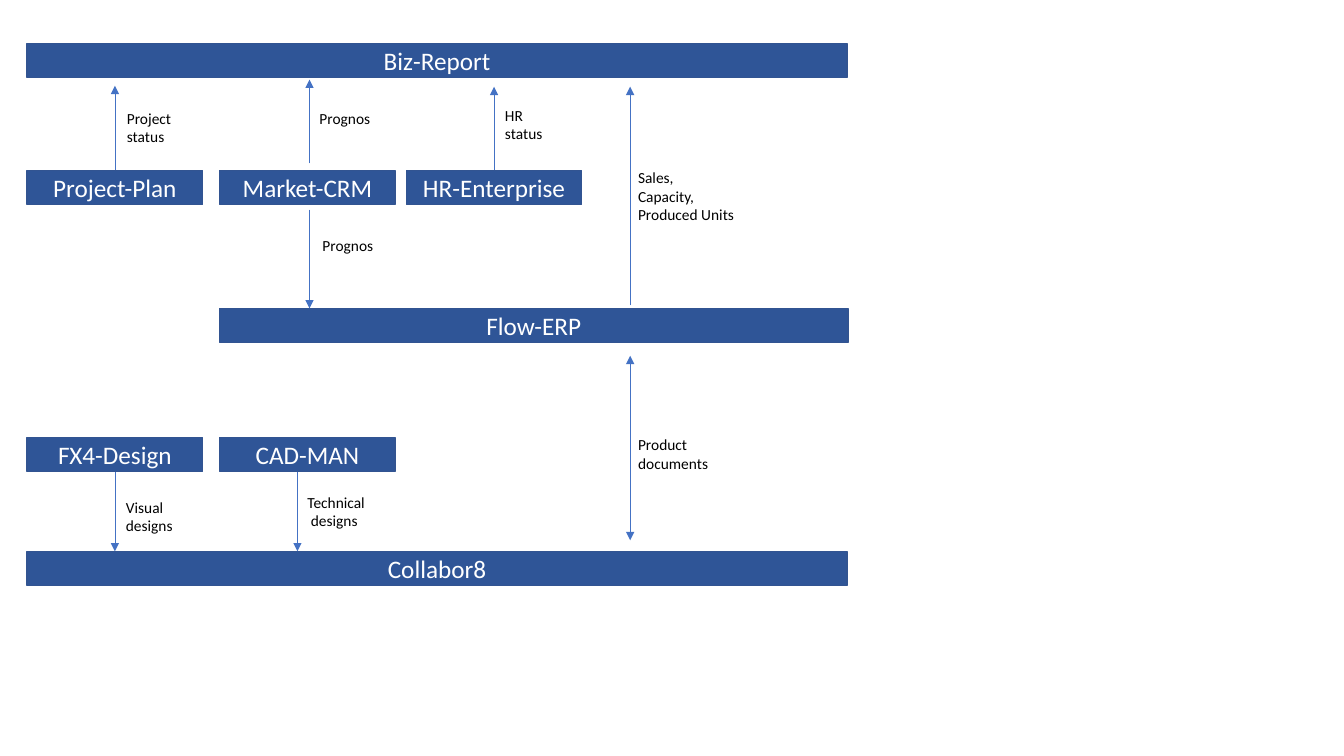
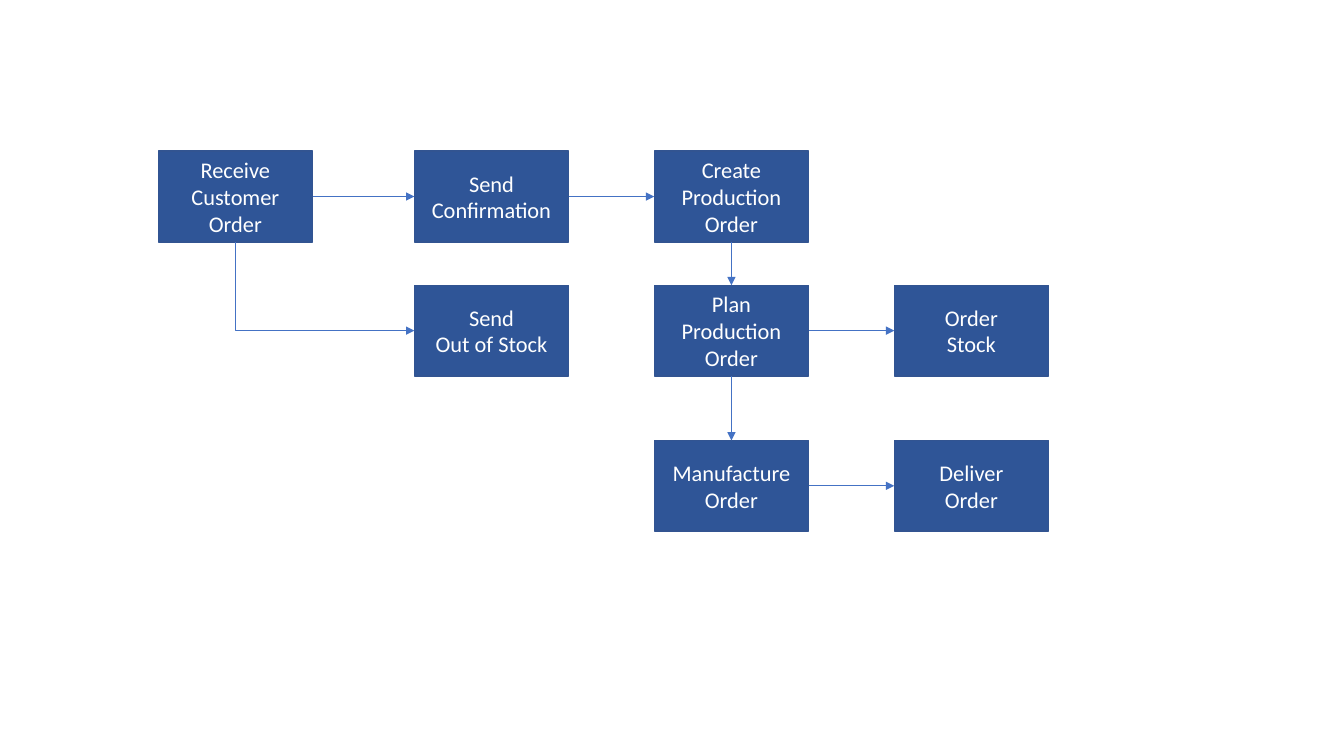
from pptx import Presentation
from pptx.dml.color import RGBColor
from pptx.enum import shapes, text
from pptx.oxml.ns import qn
from pptx.util import Inches, Pt
from lxml import etree

FONT = "Calibri"
COLORS = {"box": "2F5597", "edge": "325491", "arrow": "4472C4", "label": "000000", "box_text": "FFFFFF"}
TOP, LEFT, BOTTOM, RIGHT = range(4)

# Systems: name -> left, top, width
BAR_H, NARROW, WIDE = 0.34, 1.74, 8.13
COL_1, COL_2, COL_3 = 0.27, 2.18, 4.03
SYSTEMS = {
    "Biz-Report": (COL_1, 0.43, WIDE),
    "Project-Plan": (COL_1, 1.69, NARROW),
    "Market-CRM": (COL_2, 1.69, NARROW),
    "HR-Enterprise": (COL_3, 1.69, NARROW),
    "Flow-ERP": (COL_2, 3.06, 6.23),
    "FX4-Design": (COL_1, 4.34, NARROW),
    "CAD-MAN": (COL_2, 4.34, NARROW),
    "Collabor8": (COL_1, 5.47, WIDE),
}
# Flows: x, start y, end y, two-way, joined start (system, side) or None,
# label lines, label box
FLOWS = [
    (1.15, 1.69, 0.85, False, ("Project-Plan", TOP), ["Project", "status"], (1.16, 1.03, 0.65, 0.47)),
    (3.07, 1.62, 0.79, False, None, ["Prognos"], (3.07, 1.03, 0.71, 0.29)),
    (4.9, 1.69, 0.86, False, ("HR-Enterprise", TOP), ["HR", "status"], (4.91, 1, 0.58, 0.47)),
    (6.25, 3.03, 0.86, False, None, ["Sales,", "Capacity,", "Produced Units"], (6.23, 1.62, 1.16, 0.66)),
    (3.07, 2.08, 3.06, False, None, ["Prognos"], (3.1, 2.29, 0.71, 0.29)),
    (6.25, 3.53, 5.36, True, None, ["Product", "documents"], (6.23, 4.27, 0.9, 0.47)),
    (1.15, 4.68, 5.47, False, ("FX4-Design", BOTTOM), ["Visual", "designs"], (1.15, 4.89, 0.67, 0.47)),
    (2.95, 4.68, 5.47, False, None, ["Technical", " designs"], (2.95, 4.84, 0.79, 0.47)),
]

# Order process: key -> column, row, lines
STEP_W, STEP_H = 1.53, 0.9
STEP_X = (1.57, 4.11, 6.49, 8.87)
STEP_Y = (1.5, 2.83, 4.37)
STEPS = {
    "receive": (0, 0, ["Receive Customer Order"]),
    "confirm": (1, 0, ["Send", "Confirmation"]),
    "create": (2, 0, ["Create Production Order"]),
    "no_stock": (1, 1, ["Send", "Out of Stock"]),
    "plan": (2, 1, ["Plan Production Order"]),
    "stock": (3, 1, ["Order", "Stock"]),
    "make": (2, 2, ["Manufacture", "Order"]),
    "deliver": (3, 2, ["Deliver", "Order"]),
}
LINKS = [
    ("receive", RIGHT, "confirm", LEFT),
    ("confirm", RIGHT, "create", LEFT),
    ("create", BOTTOM, "plan", TOP),
    ("plan", RIGHT, "stock", LEFT),
    ("plan", BOTTOM, "make", TOP),
    ("make", RIGHT, "deliver", LEFT),
    ("receive", BOTTOM, "no_stock", LEFT),
]


def rgb(name):
    return RGBColor.from_string(COLORS[name])


def write(tf, lines, size, color, align):
    for i, line in enumerate(lines):
        p = tf.paragraphs[0] if i == 0 else tf.add_paragraph()
        p.alignment = align
        r = p.add_run()
        r.text = line
        for key, value in {"name": FONT, "size": Pt(size)}.items():
            setattr(r.font, key, value)
        r.font.color.rgb = rgb(color)


def add_box(s, lines, at, size):
    sp = s.shapes.add_shape(shapes.MSO_SHAPE.RECTANGLE, *map(Inches, at))
    sp.shadow.inherit = False
    sp.fill.solid()
    sp.fill.fore_color.rgb = rgb("box")
    sp.line.color.rgb = rgb("edge")
    sp.line.width = Pt(1)
    sp.text_frame.vertical_anchor = text.MSO_ANCHOR.MIDDLE
    write(sp.text_frame, lines, size, "box_text", text.PP_ALIGN.CENTER)
    return sp


def add_label(s, lines, at):
    tf = s.shapes.add_textbox(*map(Inches, at)).text_frame
    tf.word_wrap = False
    tf.auto_size = text.MSO_AUTO_SIZE.SHAPE_TO_FIT_TEXT
    write(tf, lines, 11, "label", text.PP_ALIGN.LEFT)


def add_arrow(s, ends=(0, 0, 0, 0), start=None, end=None, two_way=False):
    """Draw an arrow between points; start and end are optional (shape, side) joints."""
    cxn = s.shapes.add_connector(shapes.MSO_CONNECTOR.STRAIGHT, *map(Inches, ends))
    if start:
        cxn.begin_connect(*start)
    if end:
        cxn.end_connect(*end)
    cxn.line.color.rgb = rgb("arrow")
    cxn.line.width = Pt(0.5)
    sp_pr = cxn._element.spPr
    ln = sp_pr.find(qn("a:ln"))
    for tag in ["a:headEnd", "a:tailEnd"] if two_way else ["a:tailEnd"]:
        etree.SubElement(ln, qn(tag), type="triangle")
    etree.SubElement(sp_pr, qn("a:effectLst"))
    return cxn


def bend(cxn):
    """Turn a connector into one corner: down first, then right."""
    x1, y1, x2, y2 = cxn.begin_x, cxn.begin_y, cxn.end_x, cxn.end_y
    w, h = y2 - y1, x2 - x1
    frame = {"left": (x1 + x2 - w) // 2, "top": (y1 + y2 - h) // 2, "width": w, "height": h}
    for key, value in frame.items():
        setattr(cxn, key, value)
    sp_pr = cxn._element.spPr
    sp_pr.find(qn("a:prstGeom")).set("prst", "bentConnector2")
    xfrm = sp_pr.find(qn("a:xfrm"))
    xfrm.set("rot", str(270 * 60000))
    xfrm.set("flipH", "1")


def build_systems(s):
    boxes = {name: add_box(s, [name], (x, y, w, BAR_H), 18) for name, (x, y, w) in SYSTEMS.items()}
    for x, y1, y2, two_way, joint, lines, at in FLOWS:
        start = (boxes[joint[0]], joint[1]) if joint else None
        cxn = add_arrow(s, (x, y1, x, y2), start, two_way=two_way)
        cxn.end_x = cxn.begin_x
        add_label(s, lines, at)


def build_process(s):
    boxes = {key: add_box(s, lines, (STEP_X[col], STEP_Y[row], STEP_W, STEP_H), 16)
             for key, (col, row, lines) in STEPS.items()}
    for a, a_side, b, b_side in LINKS:
        cxn = add_arrow(s, start=(boxes[a], a_side), end=(boxes[b], b_side))
        if (a_side, b_side) == (BOTTOM, LEFT):
            bend(cxn)


def main():
    prs = Presentation()
    prs.slide_width, prs.slide_height = Inches(13.33), Inches(7.5)
    for build in (build_systems, build_process):
        build(prs.slides.add_slide(prs.slide_layouts[6]))
    prs.save("out.pptx")


if __name__ == "__main__":
    main()
